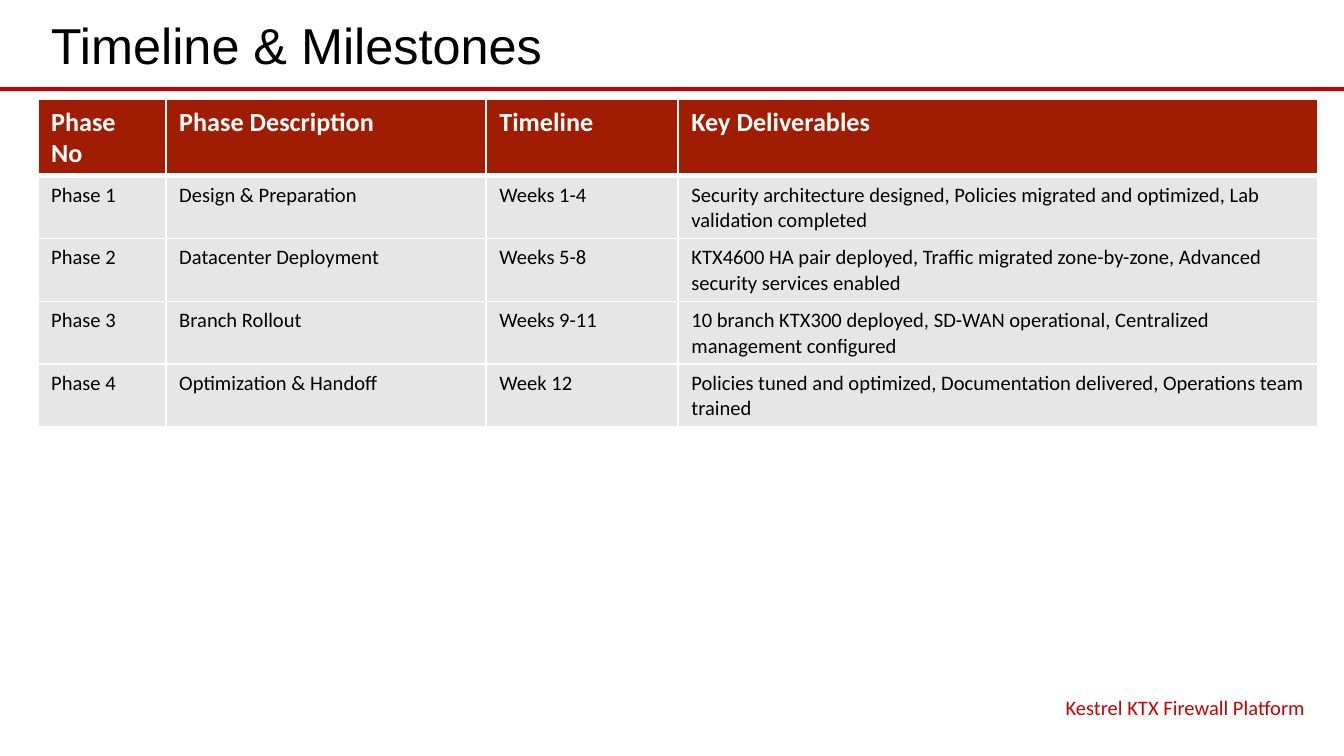
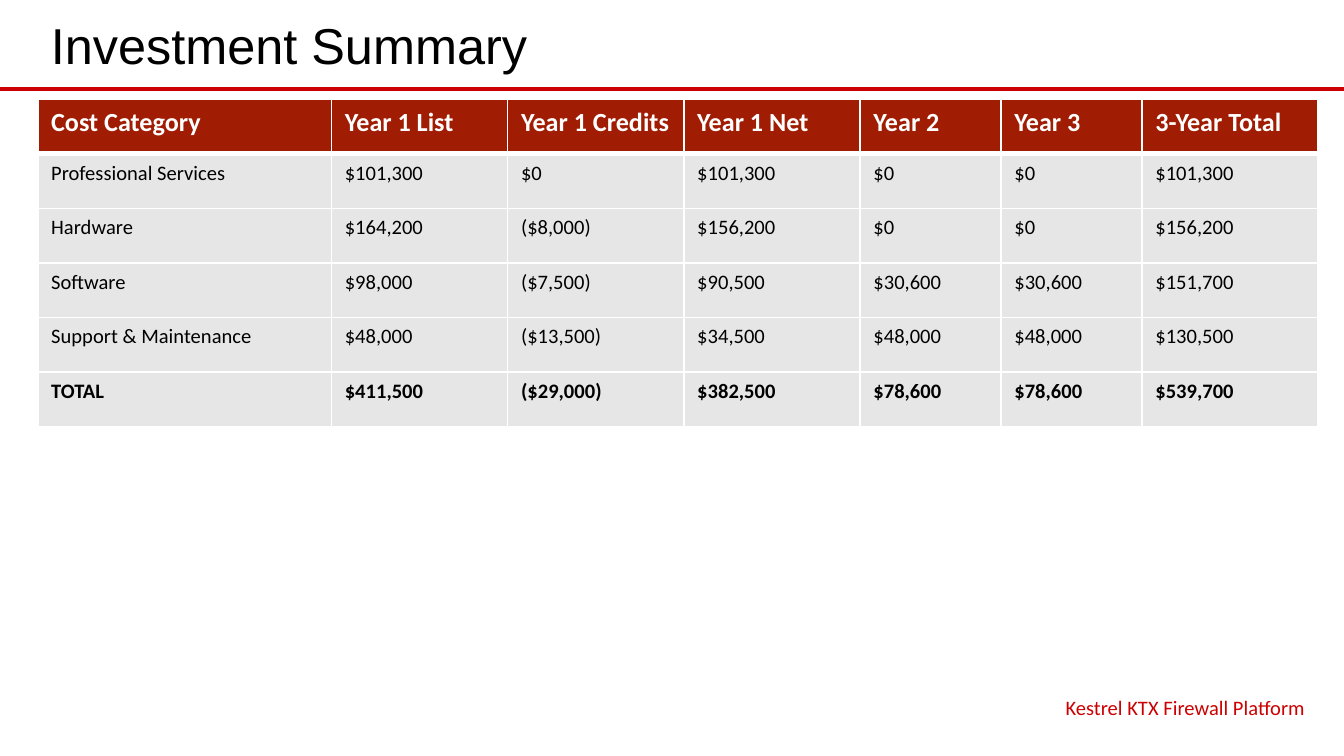
from pptx import Presentation
from pptx.dml.color import RGBColor
from pptx.enum.shapes import MSO_CONNECTOR
from pptx.enum.text import MSO_ANCHOR, PP_ALIGN
from pptx.oxml import parse_xml
from pptx.oxml.ns import nsdecls
from pptx.util import Pt
from lxml.etree import SubElement

COLORS = {"rule": "CC0000", "header": "A01C02", "body": "E7E6E6",
          "white": "FFFFFF", "text": "000000"}
SLIDE_W, SLIDE_H = 720, 405
TITLE_BOX = (20.2, 2.9, 686, 41.8)
TABLE_BOX = (20.2, 53.3, 686)
FOOTER_BOX = (452.9, 368.6, 253.3, 18.7)
RULE_Y = 47.5
ROW_HEIGHT = 29.2
FOOTER = "Kestrel KTX Firewall Platform"

PHASE_SHARES = (1, 2.5, 1.5, 5)
PHASES = [
    ("Phase No", "Phase Description", "Timeline", "Key Deliverables"),
    ("Phase 1", "Design & Preparation", "Weeks 1-4",
     "Security architecture designed, Policies migrated and optimized, Lab validation completed"),
    ("Phase 2", "Datacenter Deployment", "Weeks 5-8",
     "KTX4600 HA pair deployed, Traffic migrated zone-by-zone, Advanced security services enabled"),
    ("Phase 3", "Branch Rollout", "Weeks 9-11",
     "10 branch KTX300 deployed, SD-WAN operational, Centralized management configured"),
    ("Phase 4", "Optimization & Handoff", "Week 12",
     "Policies tuned and optimized, Documentation delivered, Operations team trained"),
]

COST_SHARES = (25, 15, 15, 15, 12, 12, 15)
COSTS = [
    ("Cost Category", "Year 1 List", "Year 1 Credits", "Year 1 Net",
     "Year 2", "Year 3", "3-Year Total"),
    ("Professional Services", "$101,300", "$0", "$101,300", "$0", "$0", "$101,300"),
    ("Hardware", "$164,200", "($8,000)", "$156,200", "$0", "$0", "$156,200"),
    ("Software", "$98,000", "($7,500)", "$90,500", "$30,600", "$30,600", "$151,700"),
    ("Support & Maintenance", "$48,000", "($13,500)", "$34,500",
     "$48,000", "$48,000", "$130,500"),
    ("TOTAL", "$411,500", "($29,000)", "$382,500", "$78,600", "$78,600", "$539,700"),
]


def rgb(name):
    return RGBColor.from_string(COLORS[name])


def style(paragraph, font_name, size, color, bold=False):
    font = paragraph.font
    font.name, font.size, font.bold = font_name, Pt(size), bold
    font.color.rgb = rgb(color)


def add_text(slide, box, text, font_name, size, color, align, anchor):
    frame = slide.shapes.add_textbox(*map(Pt, box)).text_frame
    frame.word_wrap = True
    frame.vertical_anchor = anchor
    paragraph = frame.paragraphs[0]
    paragraph.text = text
    paragraph.alignment = align
    style(paragraph, font_name, size, color)


def add_rule(slide, y):
    rule = slide.shapes.add_connector(MSO_CONNECTOR.STRAIGHT, 0, Pt(y), Pt(SLIDE_W), Pt(y))
    rule.line.color.rgb = rgb("rule")
    rule.line.width = Pt(2.25)
    SubElement(rule._element.spPr, "{http://schemas.openxmlformats.org/drawingml/2006/main}effectLst")


def set_borders(cell, **widths):
    properties = cell._tc.get_or_add_tcPr()
    for side in "LRTB":
        properties.append(parse_xml(
            f'<a:ln{side} {nsdecls("a")} w="{Pt(widths.get(side, 1))}"><a:solidFill>'
            f'<a:srgbClr val="{COLORS["white"]}"/></a:solidFill></a:ln{side}>'))


def add_grid(slide, box, rows, shares):
    left, top, width = box
    table = slide.shapes.add_table(
        len(rows), len(shares), Pt(left), Pt(top), Pt(width), Pt(ROW_HEIGHT * len(rows))).table
    table.horz_banding = False
    for column, share in zip(table.columns, shares):
        column.width = Pt(width * share / sum(shares))
    for r, values in enumerate(rows):
        table.rows[r].height = Pt(ROW_HEIGHT)
        header = r == 0
        for c, value in enumerate(values):
            cell = table.cell(r, c)
            # The header is set off by a thicker line below it
            set_borders(cell, T=3 if r == 1 else 1, B=3 if header else 1)
            cell.fill.solid()
            cell.fill.fore_color.rgb = rgb("header" if header else "body")
            cell.text = value
            style(cell.text_frame.paragraphs[0], "Calibri", 14 if header else 11,
                  "white" if header else "text", header or values[0] == "TOTAL")


def add_table_slide(deck, title, rows, shares):
    slide = deck.slides.add_slide(deck.slide_layouts[6])
    # Title and rule
    add_rule(slide, RULE_Y)
    add_text(slide, TITLE_BOX, title, "Arial", 27, "text", PP_ALIGN.LEFT, MSO_ANCHOR.MIDDLE)
    # Table
    add_grid(slide, TABLE_BOX, rows, shares)
    # Footer
    add_text(slide, FOOTER_BOX, FOOTER, "Calibri", 11, "rule", PP_ALIGN.RIGHT, MSO_ANCHOR.TOP)


def main():
    deck = Presentation()
    deck.slide_width, deck.slide_height = Pt(SLIDE_W), Pt(SLIDE_H)
    add_table_slide(deck, "Timeline & Milestones", PHASES, PHASE_SHARES)
    add_table_slide(deck, "Investment Summary", COSTS, COST_SHARES)
    deck.save("out.pptx")


if __name__ == "__main__":
    main()
